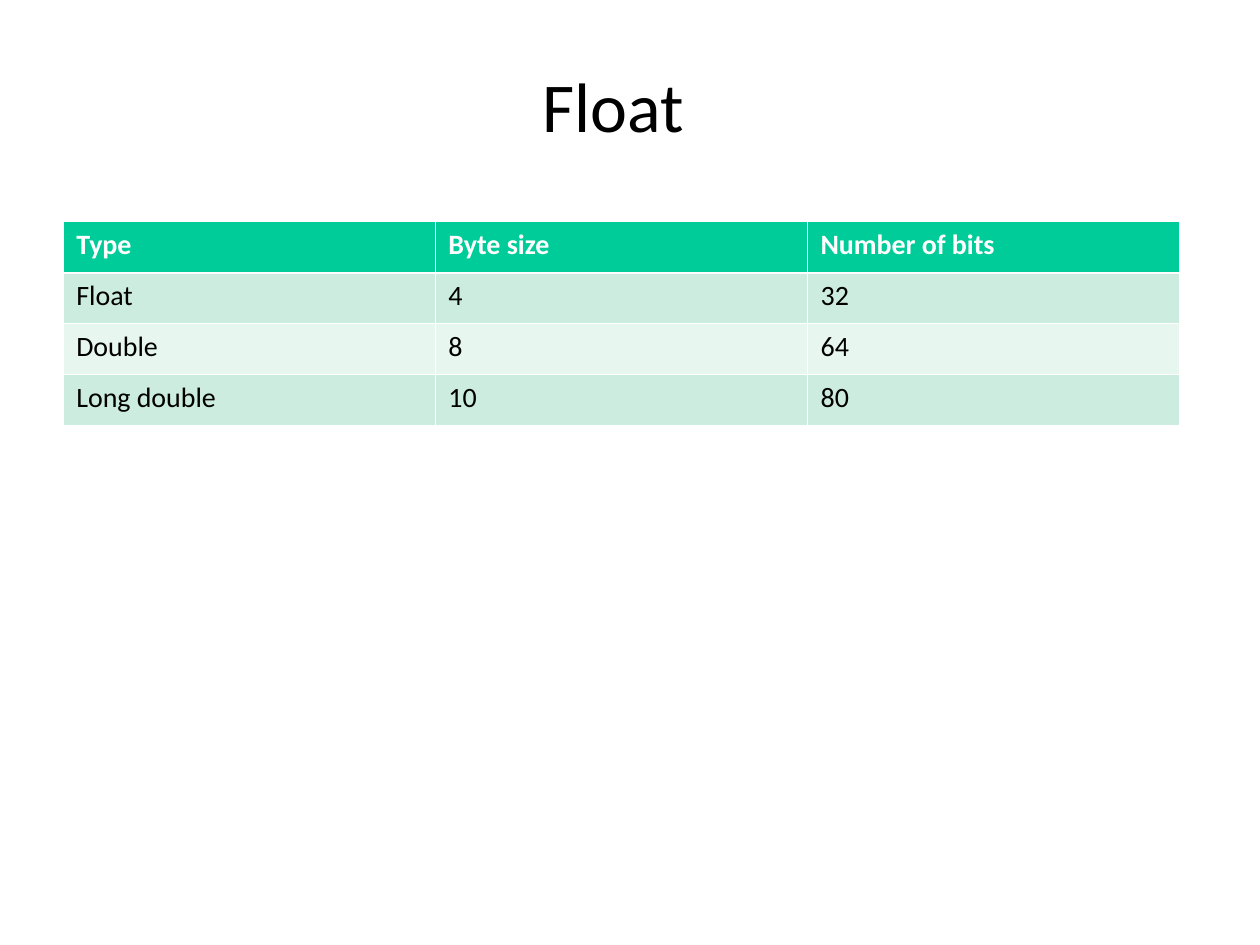
"""Build a slide with a table of floating-point type sizes."""
from dataclasses import dataclass

import lxml.etree
import pptx
import pptx.dml.color
import pptx.enum.text
import pptx.oxml.ns
import pptx.util

Pt = pptx.util.Pt
COLOURS = {
    "text": "000000",
    "white": "FFFFFF",
    "header": "00CC99",
    "dark_band": "CBECDE",
    "light_band": "E7F6EF",
}
FONT = "Calibri"
LEFT, WIDTH = 36, 638
THIN, THICK = 0.45, 1.47
ROW_HEIGHT = 29.16


@dataclass(frozen=True)
class TableRow:
    values: tuple[str, ...]
    fill: str
    header: bool = False


ROWS = (
    TableRow(("Type", "Byte size", "Number of bits"), "header", header=True),
    TableRow(("Float", "4", "32"), "dark_band"),
    TableRow(("Double", "8", "64"), "light_band"),
    TableRow(("Long double", "10", "80"), "dark_band"),
)


def colour(name: str) -> pptx.dml.color.RGBColor:
    return pptx.dml.color.RGBColor.from_string(COLOURS[name])


def write_text(frame, text: str, *, size: float, ink: str = "text",
               bold: bool = False, align=pptx.enum.text.PP_ALIGN.LEFT,
               line_spacing: float = 1.0, side: float = 7.2) -> None:
    frame.word_wrap = True
    frame.margin_left = frame.margin_right = Pt(side)
    frame.margin_top = frame.margin_bottom = Pt(3.6)
    para = frame.paragraphs[0]
    para.alignment = align
    para.line_spacing = line_spacing
    span = para.add_run()
    span.text = text
    span.font.name = FONT
    span.font.size = Pt(size)
    span.font.bold = bold
    span.font.color.rgb = colour(ink)


def add_border(cell, side: str, width: float) -> None:
    qn = pptx.oxml.ns.qn
    properties = cell._tc.get_or_add_tcPr()
    line = lxml.etree.SubElement(properties, qn(f"a:ln{side}"), w=str(int(Pt(width))))
    fill = lxml.etree.SubElement(line, qn("a:solidFill"))
    lxml.etree.SubElement(fill, qn("a:srgbClr"), val=COLOURS["white"])


def add_title(page, text: str) -> None:
    box = page.shapes.add_textbox(Pt(LEFT), Pt(21.6), Pt(WIDTH), Pt(80.64))
    box.text_frame.vertical_anchor = pptx.enum.text.MSO_ANCHOR.MIDDLE
    write_text(box.text_frame, text, size=40, line_spacing=0.97,
               align=pptx.enum.text.PP_ALIGN.CENTER)


def add_size_table(page, rows: tuple[TableRow, ...]) -> None:
    columns = len(rows[0].values)
    table = page.shapes.add_table(len(rows), columns, Pt(LEFT), Pt(126.72),
                                  Pt(WIDTH), Pt(ROW_HEIGHT * len(rows))).table
    for column in table.columns:
        column.width = Pt(WIDTH / columns)
    for index, row in enumerate(rows):
        table.rows[index].height = Pt(ROW_HEIGHT)
        for cell, value in zip(table.rows[index].cells, row.values):
            write_text(cell.text_frame, value, size=16, bold=row.header,
                       ink="white" if row.header else "text")
            cell.margin_left = cell.margin_right = Pt(7.65)
            cell.margin_top = cell.margin_bottom = Pt(3.6)
            add_border(cell, "L", THIN)
            add_border(cell, "R", THIN)
            add_border(cell, "T", THICK if index == 1 else THIN)
            add_border(cell, "B", THICK if row.header else THIN)
            cell.fill.solid()
            cell.fill.fore_color.rgb = colour(row.fill)


def main() -> None:
    deck = pptx.Presentation()
    deck.slide_width, deck.slide_height = Pt(720), Pt(540)
    page = deck.slides.add_slide(deck.slide_layouts[6])
    add_title(page, "Float ")
    add_size_table(page, ROWS)
    deck.save("out.pptx")


if __name__ == "__main__":
    main()
